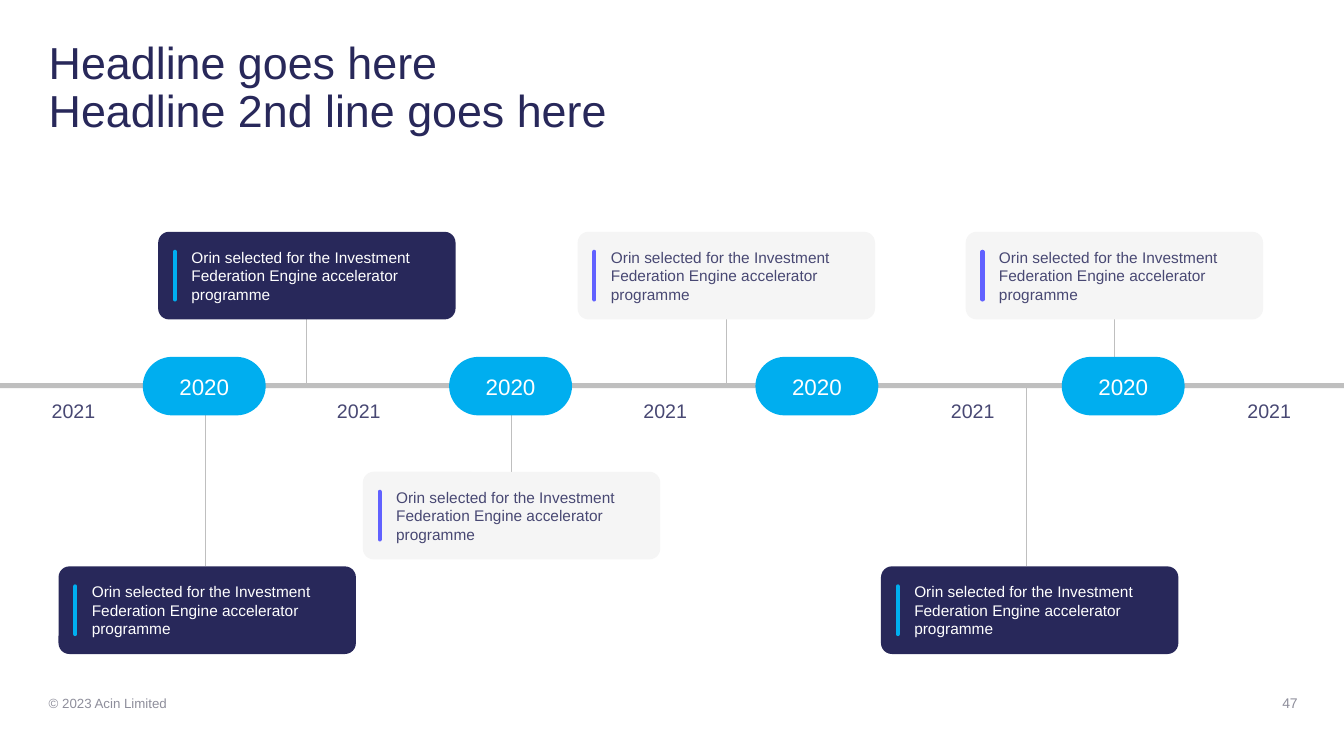
from dataclasses import dataclass
from lxml import etree
from pptx import Presentation
from pptx.dml.color import RGBColor as RGB
from pptx.enum.shapes import MSO_CONNECTOR as CONN, MSO_SHAPE as SHAPE
from pptx.enum.text import MSO_ANCHOR as ANCHOR, PP_ALIGN as ALIGN
from pptx.oxml.ns import qn
from pptx.util import Pt


@dataclass(frozen=True)
class Theme:
    """Hold the colours and type sizes of the slide."""
    font: str = "Arial"
    navy: str = "28285A"
    cyan: str = "00AEEF"
    violet: str = "6161FF"
    pale: str = "F5F5F5"
    ink: str = "484873"
    rail: str = "BFBFBF"
    muted: str = "8E8E9B"
    white: str = "FFFFFF"
    title: float = 32
    pill: float = 16
    year: float = 14
    card: float = 11
    copyright: float = 9.5
    number: float = 10


T = Theme()
EVENT = "Orin selected for the Investment Federation Engine accelerator programme"
CARD_W, CARD_H = 212.4, 62.6
PILL_W, PILL_H, PILL_STEP = 87.8, 41.8, 218.8
RAIL_H = 3.6


def style(p, size, color, align=ALIGN.LEFT):
    """Set the font and alignment of a paragraph."""
    p.alignment = align
    p.font.name, p.font.size = T.font, Pt(size)
    p.font.color.rgb = RGB.from_string(color)


def label(s, box, text, size, color, align=ALIGN.LEFT, anchor=ANCHOR.MIDDLE, wrap=True):
    """Add a text box without insets and return its paragraph."""
    tf = s.shapes.add_textbox(*map(Pt, box)).text_frame
    tf.margin_left = tf.margin_right = tf.margin_top = tf.margin_bottom = 0
    tf.word_wrap, tf.vertical_anchor = wrap, anchor
    p = tf.paragraphs[0]
    p.text = text
    style(p, size, color, align)
    return p


def block(s, box, fill, kind=SHAPE.ROUNDED_RECTANGLE):
    """Add a flat filled shape without an outline."""
    sp = s.shapes.add_shape(kind, *map(Pt, box))
    sp.shadow.inherit = False
    sp.fill.solid()
    sp.fill.fore_color.rgb = RGB.from_string(fill)
    sp.line.fill.background()
    return sp


def rule(s, x, top, bottom, color, width):
    """Add a vertical line and return it."""
    ln = s.shapes.add_connector(CONN.STRAIGHT, Pt(x), Pt(top), Pt(x), Pt(bottom))
    ln.line.color.rgb = RGB.from_string(color)
    ln.line.width = Pt(width)
    etree.SubElement(ln._element.spPr, qn("a:effectLst"))
    return ln


def pill(s, x, y, text):
    """Add a year pill with its top left corner at x, y."""
    sp = block(s, (x, y, PILL_W, PILL_H), T.cyan)
    sp.adjustments[0] = 0.5
    sp.text_frame.vertical_anchor = ANCHOR.MIDDLE
    p = sp.text_frame.paragraphs[0]
    p.text = text
    p.space_before, p.space_after = Pt(2), Pt(1)
    style(p, T.pill, T.white, ALIGN.CENTER)


def card(s, x, y, dark):
    """Add an event card with its accent bar at x, y."""
    fill, ink, accent = (T.navy, T.white, T.cyan) if dark else (T.pale, T.ink, T.violet)
    sp = block(s, (x, y, CARD_W, CARD_H), fill)
    sp.adjustments[0] = 0.124
    tf = sp.text_frame
    tf.word_wrap, tf.vertical_anchor = True, ANCHOR.MIDDLE
    p = tf.paragraphs[0]
    p.text = EVENT
    p._p.get_or_add_pPr().set("marL", str(Pt(14.4)))
    style(p, T.card, ink)
    bar = rule(s, x + 12, y + 14.3, y + 48.3, accent, 3)
    bar.line._get_or_add_ln().set("cap", "rnd")


def timeline(s, x, y, w):
    """Build the rail at x, y with its stems, pills, cards and years."""
    block(s, (x, y, w, RAIL_H), T.rail, SHAPE.RECTANGLE)
    pill_top = y - 18.7
    pill_bottom = pill_top + PILL_H
    events = [
        (113, -108, 218.9, y, True),
        (412.6, -108, 519.1, y, False),
        (689.8, -108, 796.3, pill_top, False),
        (259.2, 63.4, 365.6, pill_bottom, False),
        (41.8, 131, 146.9, pill_bottom, True),
        (629.3, 131, 733.2, y + RAIL_H, True),
    ]
    for left, rise, stem, start, dark in events:
        near = y + rise + (CARD_H if rise < 0 else 0)
        rule(s, x + stem, min(start, near), max(start, near), T.rail, 0.75)
        card(s, x + left, y + rise, dark)
    for i in range(4):
        pill(s, x + 102 + i * PILL_STEP, pill_top, "2020")
    for left in (29.5, 233.3, 452.2, 671.8, 883.6):
        label(s, (x + left, y + 11.5, 46, 17), "2021", T.year, T.ink,
              ALIGN.CENTER, ANCHOR.TOP, False)


def header(s, x, y, w, h):
    """Add the two-line headline in the given box."""
    p = label(s, (x, y, w, h), "Headline goes here\vHeadline 2nd line goes here",
              T.title, T.navy, anchor=ANCHOR.TOP)
    p.line_spacing = 0.9


def footer(s, x, y, w, h):
    """Add the copyright line and the page number at the ends of the box."""
    label(s, (x, y, w / 2, h), "© 2023 Acin Limited", T.copyright, T.muted)
    label(s, (x + w - 41, y, 41, h), "47", T.number, T.muted, ALIGN.RIGHT)


def main():
    """Build and save the presentation."""
    prs = Presentation()
    prs.slide_width, prs.slide_height = Pt(960), Pt(540)
    s = prs.slides.add_slide(prs.slide_layouts[6])
    header(s, 34.8, 28.8, 635, 85)
    timeline(s, 0, 273.6, 960)
    footer(s, 34.8, 494, 892.2, 16)
    prs.save("out.pptx")


if __name__ == "__main__":
    main()
